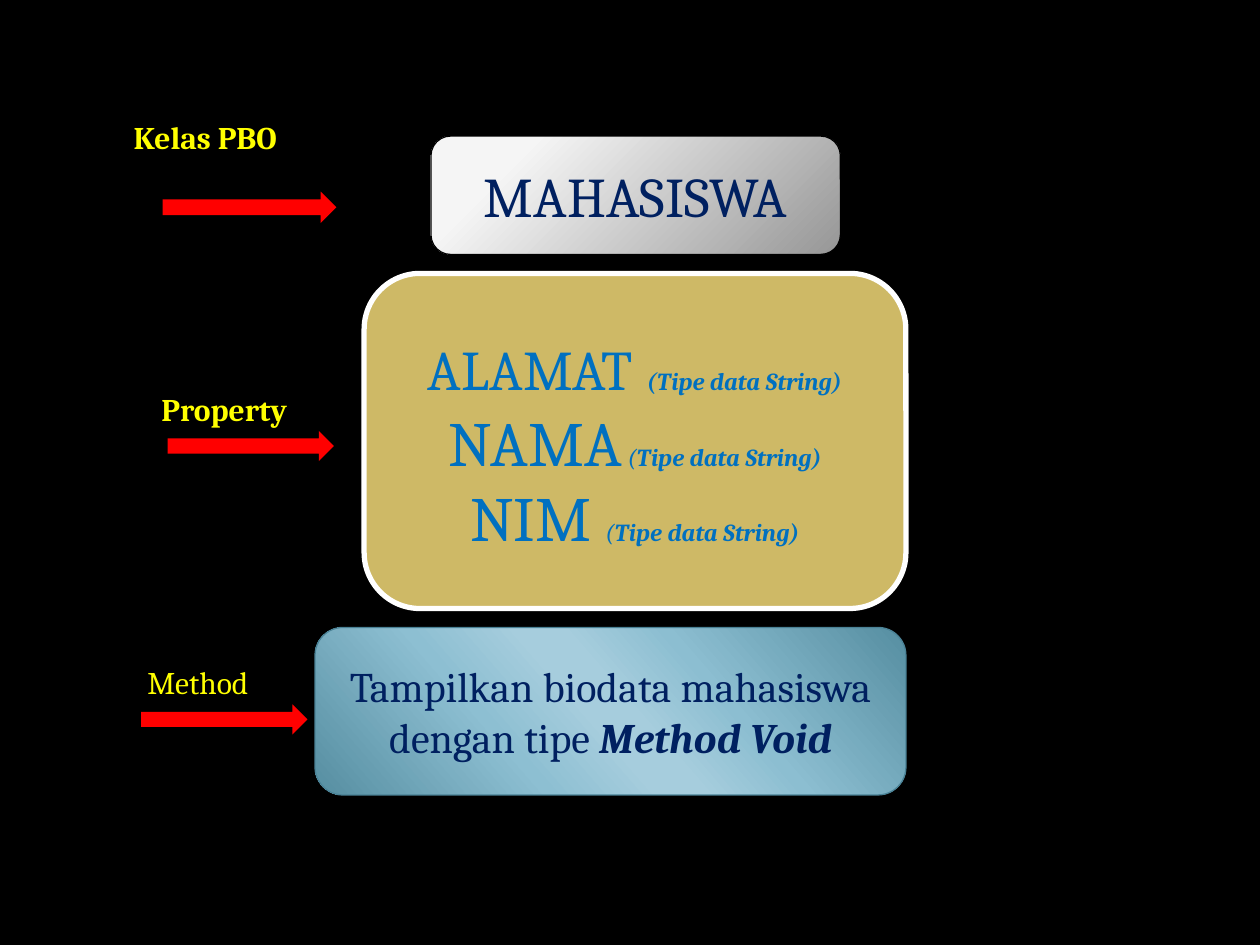
from lxml import etree
from pptx import Presentation
from pptx.dml.color import RGBColor
from pptx.enum.shapes import MSO_SHAPE
from pptx.enum.text import MSO_ANCHOR, PP_ALIGN
from pptx.oxml.ns import qn
from pptx.util import Inches, Pt

ROUNDED, ARROW = MSO_SHAPE.ROUNDED_RECTANGLE, MSO_SHAPE.RIGHT_ARROW
TOP, MIDDLE = MSO_ANCHOR.TOP, MSO_ANCHOR.MIDDLE
LEFT, CENTER = PP_ALIGN.LEFT, PP_ALIGN.CENTER
FONT = "Cambria"
BACKGROUND, ARROW_RED, LABEL_YELLOW = "000000", "FF0000", "FFFF00"
NAVY, BLUE = "002060", "0070C0"
BOLD, ITALIC = {"bold": True}, {"italic": True}
BOLD_ITALIC = {**BOLD, **ITALIC}

SILVER = {
    "stops": [(20, "F5F5F5"), (100, "979797")],
    "shade": ("a:path", {"path": "circle"}),
    "focus": {"l": "-15000", "t": "-15000", "r": "115000", "b": "115000"},
}
TEAL = {
    "stops": [(0, "568EA1"), (33, "8CBED1"), (47, "A6CDDD"),
              (53, "A6CDDD"), (68, "8DBFD2"), (100, "568EA1")],
    "shade": ("a:lin", {"ang": str(139 * 60000), "scaled": "0"}),
}

BOXES = [
    {"place": (2.89, 2.17, 4.3, 2.66), "fill": "CEB966", "line": ("FFFFFF", 3), "color": BLUE,
     "lines": [
         [("ALAMAT", 32, {}), (" ", 36, {}), ("(Tipe data String)", 14, BOLD_ITALIC)],
         [("NAMA", 36, {}), (" ", 14, {}), ("(", 14, ITALIC), ("Tipe data String)", 14, BOLD_ITALIC)],
         [("NIM ", 36, {}), ("(", 14, ITALIC), ("Tipe data String)", 14, BOLD_ITALIC)],
     ]},
    {"place": (3.42, 1.08, 3.25, 0.94), "fill": SILVER, "line": ("000000", 0.75), "color": NAVY,
     "lines": [[("MAHASISWA", 32, {})]]},
    {"place": (2.5, 4.98, 4.69, 1.33), "fill": TEAL, "line": ("4A8296", 0.75), "color": NAVY,
     "lines": [[("Tampilkan biodata mahasiswa dengan tipe ", 24, {}),
                ("Method Void", 24, BOLD_ITALIC)]]},
]

LABELS = [
    {"text": "Kelas PBO", "style": BOLD, "place": (0.94, 0.94, 1.82, 0.87),
     "arrow": (1.29, 1.52, 1.38, 0.25), "align": LEFT,
     "frame": {"vertical_anchor": TOP, "margin_left": Inches(0.12), "margin_top": 0}},
    {"text": "Property", "style": BOLD, "place": (0.91, 2.83, 1.74, 0.83),
     "arrow": (1.33, 3.42, 1.32, 0.24), "align": CENTER, "frame": {"vertical_anchor": MIDDLE}},
    {"text": "Method", "style": {}, "place": (0.7, 5, 1.74, 0.83),
     "arrow": (1.12, 5.59, 1.32, 0.24), "align": CENTER, "frame": {"vertical_anchor": MIDDLE}},
]


def rgb(value):
    return RGBColor.from_string(value)


def assign(target, values):
    for name, value in values.items():
        setattr(target, name, value)


def paint_gradient(shape, gradient):
    shape.fill.gradient()
    root = shape.element.spPr.find(qn("a:gradFill"))
    for child in list(root):
        root.remove(child)
    stops = etree.SubElement(root, qn("a:gsLst"))
    for position, color in gradient["stops"]:
        stop = etree.SubElement(stops, qn("a:gs"), pos=str(position * 1000))
        etree.SubElement(stop, qn("a:srgbClr"), val=color)
    tag, attributes = gradient["shade"]
    shade = etree.SubElement(root, qn(tag), attributes)
    if "focus" in gradient:
        etree.SubElement(shade, qn("a:fillToRect"), gradient["focus"])


def add_filled(slide, kind, place, fill, line=None):
    shape = slide.shapes.add_shape(kind, *map(Inches, place))
    shape.shadow.inherit = False
    if isinstance(fill, dict):
        paint_gradient(shape, fill)
    else:
        shape.fill.solid()
        shape.fill.fore_color.rgb = rgb(fill)
    if line:
        color, width = line
        shape.line.color.rgb = rgb(color)
        shape.line.width = Pt(width)
    else:
        shape.line.fill.background()
    return shape


def write(frame, lines, color, align, settings):
    assign(frame, {"word_wrap": True, **settings})
    for index, pieces in enumerate(lines):
        paragraph = frame.add_paragraph() if index else frame.paragraphs[0]
        paragraph.alignment = align
        for text, size, style in pieces:
            run = paragraph.add_run()
            run.text = text
            assign(run.font, {"name": FONT, "size": Pt(size), **style})
            run.font.color.rgb = rgb(color)


def main():
    deck = Presentation()
    assign(deck, {"slide_width": Inches(10), "slide_height": Inches(7.5)})
    slide = deck.slides.add_slide(deck.slide_layouts[6])
    slide.background.fill.solid()
    slide.background.fill.fore_color.rgb = rgb(BACKGROUND)

    for box in BOXES:
        shape = add_filled(slide, ROUNDED, box["place"], box["fill"], box["line"])
        write(shape.text_frame, box["lines"], box["color"], CENTER, {"vertical_anchor": MIDDLE})

    for label in LABELS:
        add_filled(slide, ARROW, label["arrow"], ARROW_RED)
        caption = slide.shapes.add_textbox(*map(Inches, label["place"]))
        write(caption.text_frame, [[(label["text"], 18, label["style"])]],
              LABEL_YELLOW, label["align"], label["frame"])

    deck.save("out.pptx")


if __name__ == "__main__":
    main()
